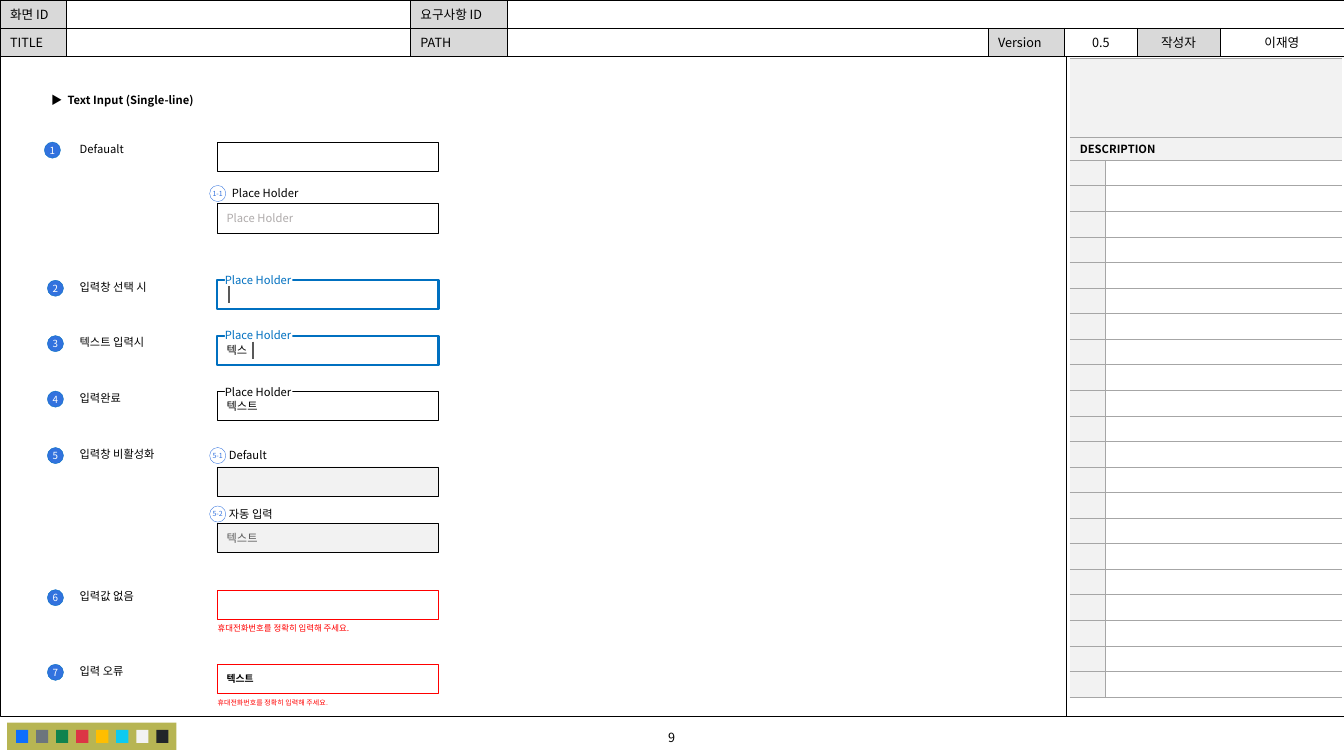
"""Build a wireframe specification slide for single-line text inputs."""
from lxml import etree
from pptx import Presentation
from pptx.dml.color import RGBColor
from pptx.enum.shapes import MSO_CONNECTOR, MSO_SHAPE
from pptx.enum.text import MSO_ANCHOR, MSO_AUTO_SIZE, PP_ALIGN
from pptx.oxml.ns import qn
from pptx.util import Inches, Pt

RECT, OVAL, LINE = MSO_SHAPE.RECTANGLE, MSO_SHAPE.OVAL, MSO_CONNECTOR.STRAIGHT
TOP, MIDDLE = MSO_ANCHOR.TOP, MSO_ANCHOR.MIDDLE
LEFT, CENTER = PP_ALIGN.LEFT, PP_ALIGN.CENTER
GROW = MSO_AUTO_SIZE.SHAPE_TO_FIT_TEXT

THEME = {
    "font": "Noto Sans CJK KR",
    "head": 9, "body": 8, "badge": 7, "error": 6, "tiny": 5,
    "black": "000000", "white": "FFFFFF", "header": "D9D9D9", "panel": "F2F2F2",
    "rule": "A6A6A6", "hint": "AFABAB", "muted": "595959", "focus": "0070C0",
    "badge_fill": "3272DE", "red": "FF0000", "palette": "B7B553",
    "swatches": ["0D6EFD", "6C757D", "10834E", "DC3545",
                 "FFBE00", "0DCAF0", "F2F2F2", "212529"],
}
BLACK, WHITE, PANEL = THEME["black"], THEME["white"], THEME["panel"]
FOCUS, RED, BLUE = THEME["focus"], THEME["red"], THEME["badge_fill"]
HEAD, BODY, TINY = THEME["head"], THEME["body"], THEME["tiny"]


def write(tf, text, size=BODY, color=BLACK, bold=False, align=LEFT):
    p = tf.paragraphs[0]
    p.alignment = align
    if not text:
        etree.SubElement(p._p, qn("a:endParaRPr"), sz=str(size * 100))
        return
    r = p.add_run()
    r.text = text
    r.font.color.rgb = RGBColor.from_string(color)
    for name, value in {"size": Pt(size), "bold": bold, "name": THEME["font"]}.items():
        setattr(r.font, name, value)
    etree.SubElement(r.font._element, qn("a:ea"), typeface=THEME["font"])


def draw(kind, box, text="", fill=None, line=None, weight=0.25, inset=(0.1, 0.05),
         anchor=MIDDLE, wrap=True, grow=False, **style):
    box = [Inches(v) for v in box]
    if kind is None:
        sp = s.shapes.add_textbox(*box)
    else:
        sp = s.shapes.add_shape(kind, *box)
        sp.shadow.inherit = False
    if fill:
        sp.fill.solid()
        sp.fill.fore_color.rgb = RGBColor.from_string(fill)
    else:
        sp.fill.background()
    if line:
        sp.line.color.rgb = RGBColor.from_string(line)
        sp.line.width = Pt(weight)
    else:
        sp.line.fill.background()
    if text:
        x, y = (Inches(v) for v in inset)
        layout = {"margin_left": x, "margin_right": x, "margin_top": y,
                  "margin_bottom": y, "vertical_anchor": anchor, "word_wrap": wrap}
        if grow:
            layout["auto_size"] = GROW
        for name, value in layout.items():
            setattr(sp.text_frame, name, value)
        write(sp.text_frame, text, **style)


prs = Presentation()
prs.slide_width, prs.slide_height = Inches(13.33), Inches(7.5)
s = prs.slides.add_slide(prs.slide_layouts[6])

draw(RECT, (0, 0.55, 13.33, 6.56), line=BLACK)
draw(None, (5.37, 7.19, 2.58, 0.25), "9", size=HEAD, align=CENTER)
draw(RECT, (0.07, 7.17, 1.68, 0.27), fill=THEME["palette"])
for i, color in enumerate(THEME["swatches"]):
    draw(RECT, (0.16 + 1.39 / 7 * i, 7.24, 0.12, 0.13), fill=color)

header_rows = [
    ["화면 ID", "", "요구사항 ID", "", "", "", "", ""],
    ["TITLE", "", "PATH", "", "Version", "0.5", "작성자", "이재영"],
]
description_rows = [["", ""], ["DESCRIPTION", ""]] + [["", ""]] * 21
tables = [
    ("header", (0, 0, 13.33, 0.56), [0.66, 3.41, 0.96, 4.77, 0.76, 0.72, 0.82, 1.23],
     [0.28] * 2, header_rows, [(0, 3, 7)], BLACK, HEAD),
    ("description", (10.61, 0.58, 2.7, 6.34), [0.35, 2.35],
     [0.78, 0.23] + [5.33 / 21] * 21, description_rows,
     [(0, 0, 1), (1, 0, 1)], THEME["rule"], BODY),
]
for name, box, widths, heights, rows, merges, rule, size in tables:
    table = s.shapes.add_table(len(rows), len(widths), *[Inches(v) for v in box]).table
    table.first_row = table.horz_banding = False
    for column, width in zip(table.columns, widths):
        column.width = Inches(width)
    for row, height in zip(table.rows, heights):
        row.height = Inches(height)
    for row, first, last in merges:
        table.cell(row, first).merge(table.cell(row, last))
    for i, row in enumerate(rows):
        for j, text in enumerate(row):
            cell = table.cell(i, j)
            cell.margin_top = cell.margin_bottom = Inches(0.02)
            cell.vertical_anchor = MIDDLE
            if name == "header":
                sides = "LRTB"
                fill = THEME["header"] if text and j in (0, 2, 4, 6) else WHITE
                style = {"align": CENTER if j > 4 else LEFT}
            else:
                sides = "LTB" if j and i > 1 else "RTB" if i > 1 else "TB"
                fill = PANEL if i < 2 or j == 0 else WHITE
                style = {"bold": True}
            write(cell.text_frame, text, size, **style)
            for side in "LRTB":
                ln = etree.SubElement(cell._tc.get_or_add_tcPr(), qn("a:ln" + side), w="6350")
                if side in sides:
                    solid = etree.SubElement(ln, qn("a:solidFill"))
                    etree.SubElement(solid, qn("a:srgbClr"), val=rule)
                else:
                    etree.SubElement(ln, qn("a:noFill"))
            cell.fill.solid()
            cell.fill.fore_color.rgb = RGBColor.from_string(fill)

draw(None, (0.41, 0.88, 3.26, 0.24), "▶  Text Input (Single-line)",
     anchor=TOP, grow=True, bold=True)

inputs = [
    (1.41, "", WHITE, BLACK, 0.25, {}),
    (2.02, "Place Holder", WHITE, BLACK, 0.25, {"color": THEME["hint"]}),
    (2.78, "", WHITE, FOCUS, 1.5, {}),
    (3.33, "텍스", WHITE, FOCUS, 1.5, {}),
    (3.88, "텍스트", WHITE, BLACK, 0.25, {}),
    (4.63, "", PANEL, BLACK, 0.25, {}),
    (5.19, "텍스트", PANEL, BLACK, 0.25, {"color": THEME["muted"]}),
    (5.85, "", WHITE, RED, 0.25, {}),
    (6.59, "텍스트", WHITE, RED, 0.25, {"size": 7, "bold": True}),
]
for y, text, fill, line, weight, style in inputs:
    draw(RECT, (2.15, y, 2.2, 0.29), text, fill, line, weight, **style)

plain = {"inset": (0, 0), "wrap": False}
label = {**plain, "anchor": TOP, "grow": True}
states = [
    (0.44, 1.41, "Defaualt"), (0.47, 2.78, "입력창 선택 시"), (0.47, 3.33, "텍스트 입력시"),
    (0.47, 3.88, "입력완료"), (0.47, 4.44, "입력창 비활성화"), (0.47, 5.85, "입력값 없음"),
    (0.47, 6.59, "입력 오류"),
]
for number, (x, y, text) in enumerate(states, 1):
    draw(OVAL, (x, y, 0.16, 0.16), str(number), BLUE, FOCUS,
         size=THEME["badge"], color=WHITE, align=CENTER, **plain)
    draw(None, (0.79, y, 0.85, 0.13), text, **label)

variants = [("1-1", 1.84, 2.3, "Place Holder"), ("5-1", 4.44, 2.27, "Default"),
            ("5-2", 5.02, 2.27, "자동 입력")]
for number, y, x, text in variants:
    draw(OVAL, (2.08, y, 0.16, 0.16), number, WHITE, BLUE,
         size=TINY, color=BLUE, align=CENTER, **plain)
    draw(None, (x, y + 0.01, 0.67, 0.13), text, **label)

for y, color in [(2.71, FOCUS), (3.26, FOCUS), (3.82, BLACK)]:
    draw(RECT, (2.23, y, 0.67, 0.13), "Place Holder", WHITE, color=color, **label)

for y, size in [(6.13, THEME["error"]), (6.88, TINY)]:
    draw(None, (2.06, y, 1.64, 0.2), "휴대전화번호를 정확히 입력해 주세요.",
         anchor=TOP, grow=True, size=size, color=RED)

lines = [(10.58, 0.56, 7.11, BLACK, 0.5), (2.27, 2.84, 3.01, THEME["muted"], 1),
         (2.51, 3.39, 3.56, THEME["muted"], 1)]
for x, top, bottom, color, weight in lines:
    cx = s.shapes.add_connector(LINE, Inches(x), Inches(top), Inches(x), Inches(bottom))
    cx.line.color.rgb = RGBColor.from_string(color)
    cx.line.width = Pt(weight)
    etree.SubElement(cx._element.spPr, qn("a:effectLst"))

prs.save("out.pptx")
